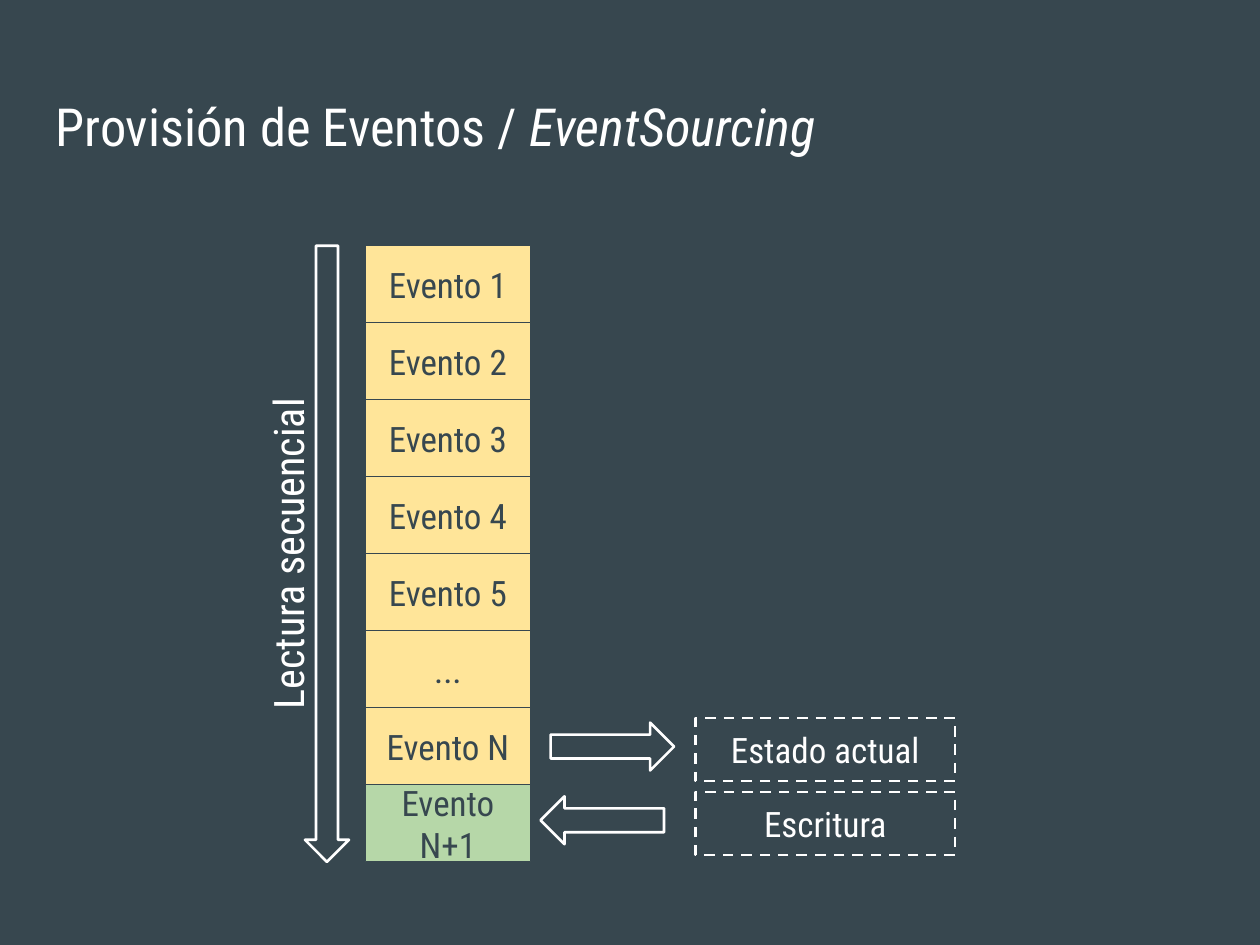
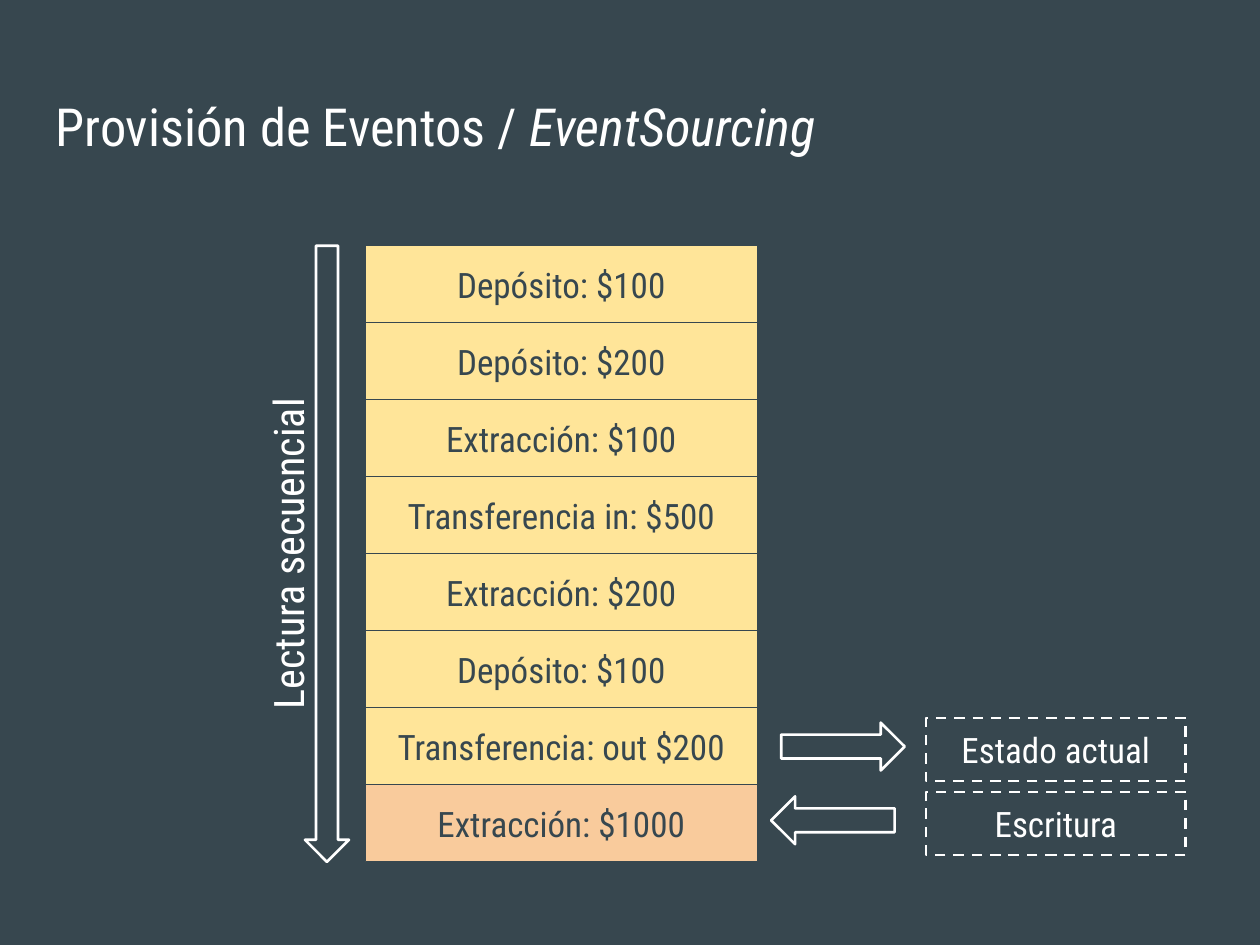
import dataclasses

import pptx
import pptx.dml.color
import pptx.enum.dml
import pptx.enum.shapes
import pptx.enum.text
import pptx.util

SHAPE = pptx.enum.shapes.MSO_SHAPE
ALIGN = pptx.enum.text.PP_ALIGN
ANCHOR = pptx.enum.text.MSO_ANCHOR
DASH = pptx.enum.dml.MSO_LINE.DASH

COLUMNS, ROWS = 100, 75
STACK_LEFT, STACK_TOP, STACK_HEIGHT = 29, 19.5, 48.9


@dataclasses.dataclass(frozen=True)
class Theme:
    font: str = "Roboto Condensed"
    slate: str = "37474F"
    white: str = "FFFFFF"
    stored: str = "FFE599"
    accepted: str = "B6D7A8"
    doubtful: str = "F9CB9C"
    title_size: int = 30
    axis_size: int = 24
    body_size: int = 20
    thin: float = 0.75
    thick: float = 1.5


def rgb(color):
    return pptx.dml.color.RGBColor.from_string(color)


class Deck:
    def __init__(self, theme):
        self.theme = theme
        self.prs = pptx.Presentation()
        self.prs.slide_width = pptx.util.Inches(10)
        self.prs.slide_height = pptx.util.Inches(7.5)
        self.s = None

    def add_slide(self):
        self.s = self.prs.slides.add_slide(self.prs.slide_layouts[5])
        fill = self.s.background.fill
        fill.solid()
        fill.fore_color.rgb = rgb(self.theme.slate)

    def place(self, left, top, width, height):
        """Turn grid columns and rows into slide lengths."""
        column = self.prs.slide_width / COLUMNS
        row = self.prs.slide_height / ROWS
        return (round(left * column), round(top * row),
                round(width * column), round(height * row))

    def format_text(self, tf, size, color, align=ALIGN.CENTER, anchor=ANCHOR.TOP):
        tf.word_wrap = True
        tf.auto_size = pptx.enum.text.MSO_AUTO_SIZE.NONE
        tf.vertical_anchor = anchor
        tf.margin_left = tf.margin_right = pptx.util.Inches(0.1)
        tf.margin_top = tf.margin_bottom = pptx.util.Inches(0.1)
        for p in tf.paragraphs:
            p.alignment = align
            for r in p.runs:
                r.font.name = self.theme.font
                r.font.size = pptx.util.Pt(size)
                r.font.color.rgb = rgb(color)

    def title(self, plain, italic):
        sp = self.s.shapes.title
        sp.left, sp.top, sp.width, sp.height = self.place(3.4, 6.5, 93.2, 8.3)
        tf = sp.text_frame
        tf.text = plain
        r = tf.paragraphs[0].add_run()
        r.text = italic
        r.font.italic = True
        self.format_text(tf, self.theme.title_size, self.theme.white, ALIGN.LEFT)

    def shape(self, kind, box, line, width, fill=None):
        sp = self.s.shapes.add_shape(kind, *self.place(*box))
        sp.shadow.inherit = False
        if fill:
            sp.fill.solid()
            sp.fill.fore_color.rgb = rgb(fill)
        else:
            sp.fill.background()
        sp.line.color.rgb = rgb(line)
        sp.line.width = pptx.util.Pt(width)
        return sp

    def box_text(self, sp, text, color):
        sp.text_frame.text = text
        self.format_text(sp.text_frame, self.theme.body_size, color,
                         anchor=ANCHOR.MIDDLE)

    def event(self, box, text, fill):
        sp = self.shape(SHAPE.RECTANGLE, box, self.theme.slate, self.theme.thin, fill)
        self.box_text(sp, text, self.theme.slate)

    def arrow(self, kind, box, rotation=0):
        sp = self.shape(kind, box, self.theme.white, self.theme.thick)
        sp.rotation = rotation

    def dashed_box(self, box, text):
        sp = self.shape(SHAPE.RECTANGLE, box, self.theme.white, self.theme.thick)
        sp.line.dash_style = DASH
        self.box_text(sp, text, self.theme.white)

    def vertical_label(self, box, text):
        sp = self.s.shapes.add_textbox(*self.place(*box))
        sp.rotation = 270
        sp.text_frame.text = text
        self.format_text(sp.text_frame, self.theme.axis_size, self.theme.white)


def event_slide(deck, events, stack_width, last_fill, access_left):
    """Draw an event log, its reading direction and its read and write access."""
    deck.add_slide()
    deck.title("Provisión de Eventos / ", "EventSourcing")

    height = STACK_HEIGHT / len(events)
    fills = [deck.theme.stored] * (len(events) - 1) + [last_fill]
    for i, (text, fill) in enumerate(zip(events, fills)):
        box = (STACK_LEFT, STACK_TOP + i * height, stack_width, height)
        deck.event(box, text, fill)

    deck.arrow(SHAPE.DOWN_ARROW, (24.2, STACK_TOP, 3.5, STACK_HEIGHT))
    deck.vertical_label((-1.3, 40.4, 49.3, 7.1), "Lectura secuencial")

    accesses = [("Estado actual", 0.8, 0), ("Escritura", 0, 180)]
    for i, (text, indent, rotation) in enumerate(accesses):
        top = 57 + 5.85 * i
        deck.arrow(SHAPE.RIGHT_ARROW, (access_left + indent, top + 0.35, 9.8, 3.8),
                   rotation)
        deck.dashed_box((access_left + 12.3, top, 20.6, 5), text)


def main():
    theme = Theme()
    deck = Deck(theme)
    numbered = [f"Evento {n}" for n in range(1, 6)]
    event_slide(deck, numbered + ["...", "Evento N", "Evento N+1"],
                13.1, theme.accepted, 42.9)
    movements = ["Depósito: $100", "Depósito: $200", "Extracción: $100",
                 "Transferencia in: $500", "Extracción: $200", "Depósito: $100",
                 "Transferencia: out $200", "Extracción: $1000"]
    event_slide(deck, movements, 31.1, theme.doubtful, 61.2)
    deck.prs.save("out.pptx")


if __name__ == "__main__":
    main()
